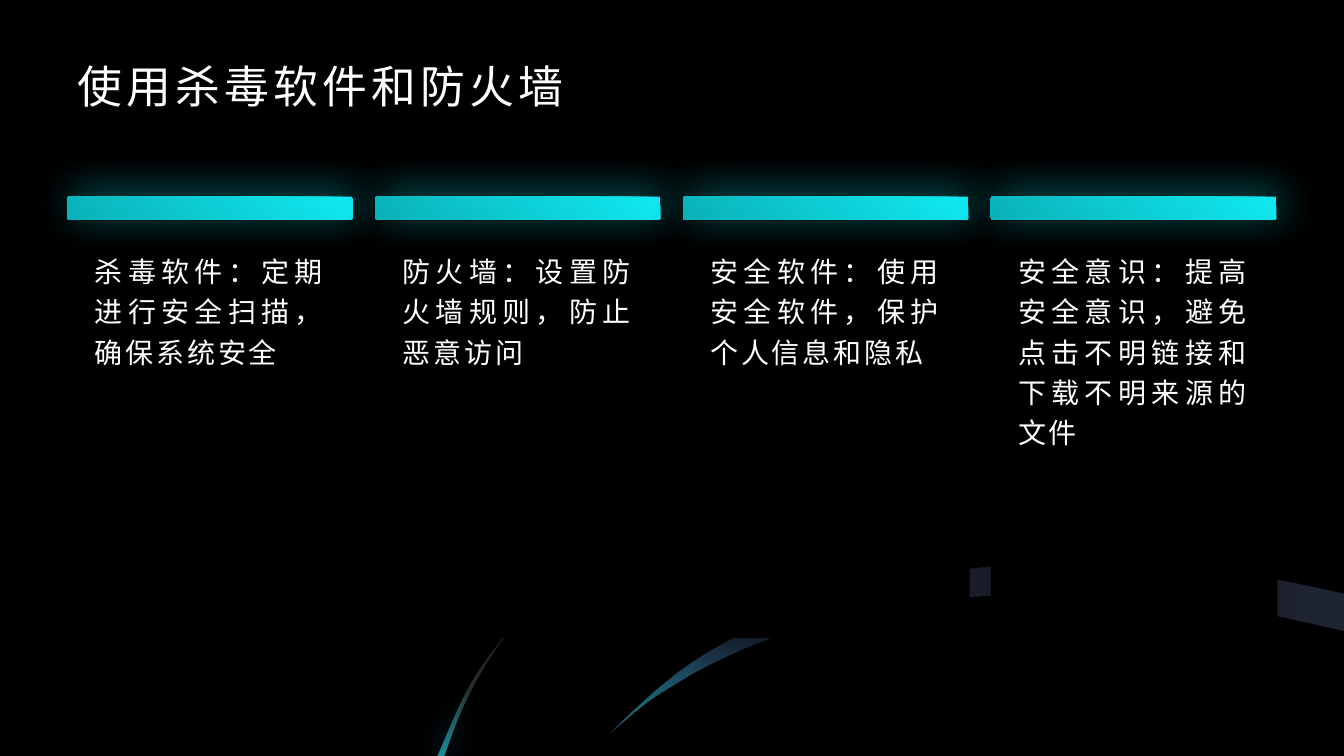
import pptx
import pptx.dml.color
import pptx.enum.shapes
import pptx.enum.text
import pptx.oxml.ns
import pptx.util
from lxml import etree

RGB = pptx.dml.color.RGBColor
BLACK = RGB(0x00, 0x00, 0x00)
WHITE = RGB(0xFF, 0xFF, 0xFF)
CYAN = RGB(0x10, 0xE9, 0xF2)
TEAL = RGB(0x0A, 0xB1, 0xB8)
BLUE = RGB(0x33, 0x66, 0xFF)
SKY = RGB(0x1E, 0xB5, 0xF7)
SOOT = RGB(0x1E, 0x1D, 0x1B)
SLATE = RGB(0x25, 0x2D, 0x30)

WIDTH, HEIGHT = pptx.util.Inches(13.33), pptx.util.Inches(7.5)
UNIT = pptx.util.Inches(0.1)  # side of one grid cell

LEFT, TOP, PITCH = 6.7, 19.5, 30.53
TIPS = [
    "杀毒软件：定期进行安全扫描，确保系统安全",
    "防火墙：设置防火墙规则，防止恶意访问",
    "安全软件：使用安全软件，保护个人信息和隐私",
    "安全意识：提高安全意识，避免点击不明链接和下载不明来源的文件",
]

# Each outline is a list of edges; each edge is smoothed through its knots.
SWOOSH = [
    [(60.5, 72.8), (63.6, 69.8), (67, 66.9), (70.9, 64.3), (75.4, 62),
     (80.6, 59.9), (86.1, 58.3), (92, 57), (98.2, 56.2), (103.9, 55.8),
     (107.7, 55.7), (113.4, 55.9), (120.8, 56.6), (126.7, 57.5), (133.3, 58.9)],
    [(133.3, 62.6), (126, 61), (120.8, 60.1), (110.2, 59.1), (100, 59),
     (90.6, 59.9), (81.9, 61.7), (75.2, 63.8), (69.4, 66.5), (64.5, 69.5),
     (60.5, 72.8)],
]
TAIL = [
    [(52.6, 60.3), (50.3, 62.9), (47.9, 66.4), (45.8, 70.5), (44.1, 75)],
    [(43.4, 75), (46.3, 68.5), (49.3, 64), (51.6, 61.3), (52.6, 60.3)],
]


def smooth(knots, steps=6):
    """Points of a Catmull-Rom curve through the knots."""
    ends = [knots[0], *knots, knots[-1]]
    points = [knots[0]]
    for a, b, c, d in zip(ends, ends[1:], ends[2:], ends[3:]):
        for step in range(1, steps + 1):
            t = step / steps
            points.append(tuple(
                q + t / 2 * (r - p + t * (2 * p - 5 * q + 4 * r - s
                                          + t * (3 * (q - r) + s - p)))
                for p, q, r, s in zip(a, b, c, d)))
    return points


def child(parent, tag, **attrs):
    node = etree.SubElement(parent, pptx.oxml.ns.qn(tag))
    for key, value in attrs.items():
        node.set(key, str(value))
    return node


class Deck:
    def __init__(self):
        self.file = pptx.Presentation()
        self.file.slide_width, self.file.slide_height = WIDTH, HEIGHT
        self.slide = self.file.slides.add_slide(self.file.slide_layouts[6])
        self.slide.background.fill.solid()
        self.slide.background.fill.fore_color.rgb = BLACK

    def paint(self, shape, fill, angle=0, glow=None):
        """Fill with a colour, or with two (place, colour, opacity) stops."""
        shape.line.fill.background()
        shape.shadow.inherit = False
        if isinstance(fill, RGB):
            shape.fill.solid()
            shape.fill.fore_color.rgb = fill
        else:
            shape.fill.gradient()
            shape.fill.gradient_angle = 360 - angle
            for stop, (place, color, _) in zip(shape.fill.gradient_stops, fill):
                stop.position = place
                stop.color.rgb = color
            tints = shape.element.spPr.iter(pptx.oxml.ns.qn("a:srgbClr"))
            for tint, (_, _, alpha) in zip(tints, fill):
                child(tint, "a:alpha", val=alpha * 1000)
        if glow:
            color, alpha, blur, dist, turn = glow
            effect = shape.element.spPr.find(pptx.oxml.ns.qn("a:effectLst"))
            shade = child(effect, "a:outerShdw", blurRad=blur * 12700,
                          dist=dist * 12700, dir=turn * 60000,
                          algn="ctr", rotWithShape=0)
            tint = child(shade, "a:srgbClr", val=color)
            child(tint, "a:alpha", val=alpha * 1000)

    def curve(self, edges, *look, **more):
        points = [(round(x * UNIT), round(y * UNIT))
                  for edge in edges for x, y in smooth(edge)]
        path = self.slide.shapes.build_freeform(*points[0])
        path.add_line_segments(points[1:], close=True)
        self.paint(path.convert_to_shape(), *look, **more)

    def panel(self, box, bend, *look, **more):
        shape = self.slide.shapes.add_shape(
            pptx.enum.shapes.MSO_SHAPE.ROUNDED_RECTANGLE,
            *(round(n * UNIT) for n in box))
        shape.adjustments[0] = bend
        self.paint(shape, *look, **more)

    def text(self, box, words, font, size, gap):
        frame = self.slide.shapes.add_textbox(
            *(round(n * UNIT) for n in box)).text_frame
        frame.word_wrap = True
        run = frame.paragraphs[0].add_run()
        run.text = words
        run.font.name = font
        run.font.size = pptx.util.Pt(size)
        run.font.color.rgb = WHITE
        props = run.font._element
        props.set("spc", str(gap * 100))
        props.set("lang", "zh-CN")
        return frame

    def title(self, box, words):
        frame = self.text(box, words, "Roboto", 32, 3)
        frame.margin_top = frame.margin_bottom = 0
        frame.vertical_anchor = pptx.enum.text.MSO_ANCHOR.BOTTOM

    def card(self, left, words):
        self.panel((left, TOP, 28.4, 43.8), 0, BLACK,
                   glow=(BLACK, 40, 22, 9, 106))
        self.panel((left, TOP, 28.3, 2.3), 0.08,
                   [(0, CYAN, 100), (1, TEAL, 100)], 130,
                   glow=(CYAN, 45, 30, 5, 315))
        body = self.text((left + 1.7, 24.1, 24.9, 37.3), words, "Karla", 20, 2)
        body.paragraphs[0].alignment = pptx.enum.text.PP_ALIGN.JUSTIFY
        body.paragraphs[0].line_spacing = 1.2


def main():
    deck = Deck()
    deck.curve(SWOOSH, SOOT)
    deck.curve(TAIL, SLATE)
    deck.curve(SWOOSH, [(0, CYAN, 50), (0.31, BLUE, 10)], 315)
    deck.curve(TAIL, [(0.55, CYAN, 0), (1, CYAN, 50)], 90,
               glow=(SKY, 100, 20, 0, 0))
    deck.title((LEFT, 5, 120, 6.2), "使用杀毒软件和防火墙")
    for col, words in enumerate(TIPS):
        deck.card(LEFT + col * PITCH, words)
    deck.file.save("out.pptx")


if __name__ == "__main__":
    main()
